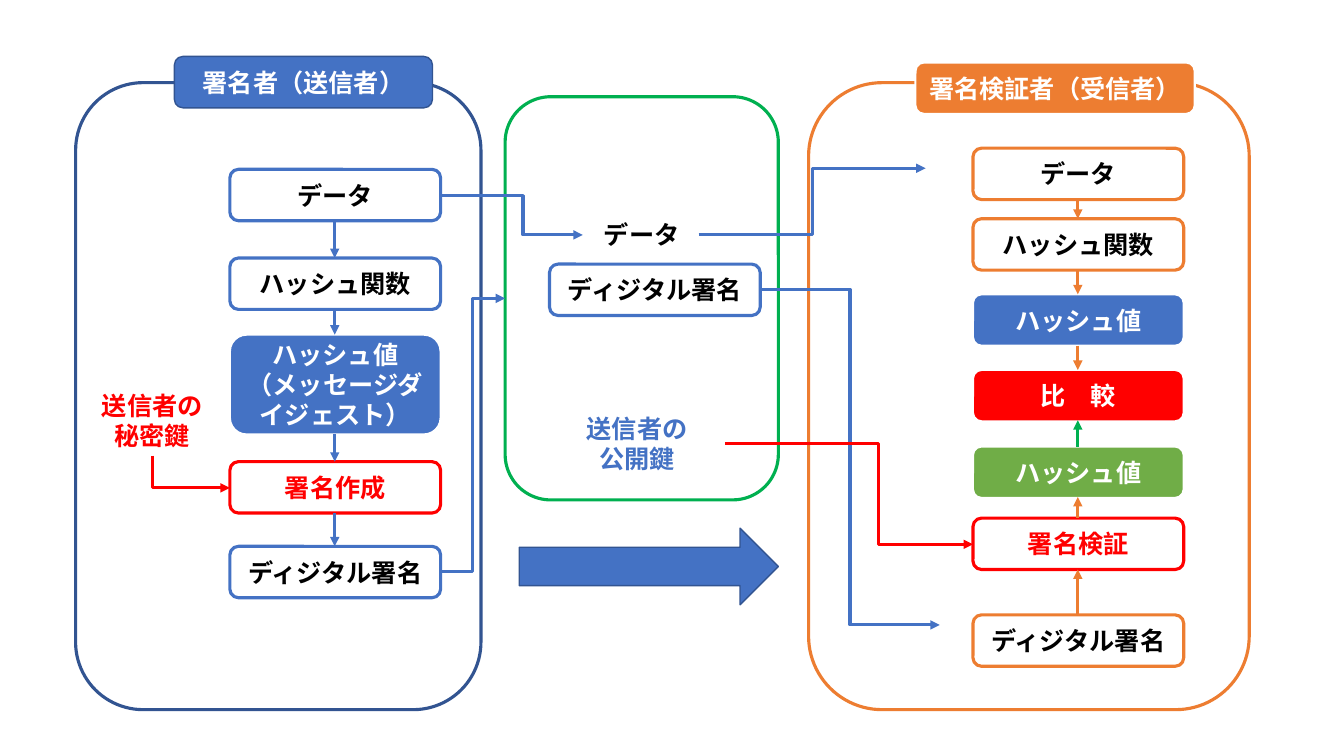
from dataclasses import dataclass
from typing import Optional

from lxml import etree
from pptx import Presentation
from pptx import util as u
from pptx.dml.color import RGBColor
from pptx.enum import shapes, text
from pptx.oxml import ns

BLUE = RGBColor(0x44, 0x72, 0xC4)
NAVY = RGBColor(0x32, 0x54, 0x91)
ORANGE = RGBColor(0xED, 0x7D, 0x31)
GREEN = RGBColor(0x00, 0xB0, 0x50)
LEAF = RGBColor(0x70, 0xAD, 0x47)
RED = RGBColor(0xFF, 0x00, 0x00)
WHITE = RGBColor(0xFF, 0xFF, 0xFF)
BLACK = RGBColor(0x00, 0x00, 0x00)
FONT = "Noto Sans CJK JP"
ROUNDED = shapes.MSO_SHAPE.FLOWCHART_ALTERNATE_PROCESS
STEP_WIDTH, STEP_HEIGHT = 2.09, 0.51
SENDER_LEFT, RECEIVER_LEFT = 2.28, 9.65
SENDER_AXIS, RECEIVER_AXIS = 3.32, 10.69


@dataclass
class Panel:
    left: float
    top: float
    width: float
    height: float
    border: RGBColor
    fill: Optional[RGBColor] = None
    border_width: float = 2.25
    preset: shapes.MSO_SHAPE = ROUNDED
    words: str = ""
    color: RGBColor = WHITE


@dataclass
class Label:
    left: float
    top: float
    width: float
    height: float
    words: str
    color: RGBColor
    align: text.PP_ALIGN = text.PP_ALIGN.CENTER


@dataclass
class Link:
    start: tuple[float, float]
    end: tuple[float, float]
    color: RGBColor
    bend: Optional[float] = None


def outlined(left: float, top: float, words: str, border: RGBColor,
             color: RGBColor = BLACK) -> Panel:
    return Panel(left, top, STEP_WIDTH, STEP_HEIGHT, border, WHITE, words=words, color=color)


def filled(left: float, top: float, words: str, fill: RGBColor,
           height: float = STEP_HEIGHT) -> Panel:
    return Panel(left, top, STEP_WIDTH, height, WHITE, fill, 1.5, words=words)


def vertical(axis: float, start: float, end: float, color: RGBColor) -> Link:
    return Link((axis, start), (axis, end), color)


FRAMES = [
    Panel(5.15, 5.24, 2.57, 0.76, NAVY, BLUE, 1, shapes.MSO_SHAPE.RIGHT_ARROW),
    Panel(5.01, 0.96, 2.71, 4, GREEN, WHITE),
    Panel(0.75, 0.82, 4.02, 6.22, NAVY),
    Panel(1.73, 0.56, 2.56, 0.51, NAVY, BLUE, 1, words="署名者（送信者）"),
    Panel(8.02, 0.82, 4.37, 6.22, ORANGE),
    Panel(9.08, 0.62, 2.77, 0.51, WHITE, ORANGE, 1.5, words="署名検証者（受信者）"),
]
STEPS = [
    outlined(SENDER_LEFT, 1.68, "データ", BLUE),
    outlined(SENDER_LEFT, 2.56, "ハッシュ関数", BLUE),
    filled(SENDER_LEFT, 3.32, "ハッシュ値\n（メッセージダイジェスト）", BLUE, 0.99),
    outlined(SENDER_LEFT, 4.58, "署名作成", RED, RED),
    outlined(SENDER_LEFT, 5.42, "ディジタル署名", BLUE),
    outlined(5.45, 2.62, "ディジタル署名", BLUE),
    outlined(RECEIVER_LEFT, 1.47, "データ", ORANGE),
    outlined(RECEIVER_LEFT, 2.17, "ハッシュ関数", ORANGE),
    filled(RECEIVER_LEFT, 2.92, "ハッシュ値", BLUE),
    filled(RECEIVER_LEFT, 3.67, "比　較", RED),
    filled(RECEIVER_LEFT, 4.43, "ハッシュ値", LEAF),
    outlined(RECEIVER_LEFT, 5.14, "署名検証", RED, RED),
    outlined(RECEIVER_LEFT, 6.1, "ディジタル署名", ORANGE),
]
LABELS = [
    Label(0.64, 3.82, 1.74, 0.71, "送信者の\n秘密鍵", RED),
    Label(5.89, 2.13, 1.05, 0.4, "データ", BLACK, text.PP_ALIGN.LEFT),
    Label(5.45, 4.05, 1.74, 0.71, "送信者の\n公開鍵", BLUE),
]
LINKS = [
    vertical(SENDER_AXIS, 2.19, 2.56, BLUE),
    vertical(SENDER_AXIS, 3.07, 3.32, BLUE),
    vertical(SENDER_AXIS, 4.31, 4.58, BLUE),
    vertical(SENDER_AXIS, 5.09, 5.42, BLUE),
    vertical(RECEIVER_AXIS, 1.97, 2.17, ORANGE),
    vertical(RECEIVER_AXIS, 2.67, 2.92, ORANGE),
    vertical(RECEIVER_AXIS, 3.43, 3.67, ORANGE),
    vertical(RECEIVER_AXIS, 4.43, 4.17, GREEN),
    vertical(RECEIVER_AXIS, 5.14, 4.93, ORANGE),
    vertical(RECEIVER_AXIS, 6.1, 5.65, ORANGE),
    Link((4.37, 1.94), (5.78, 2.33), BLUE, 0.58),
    Link((4.36, 5.67), (5.01, 2.96), BLUE, 0.5),
    Link((6.93, 2.33), (9.18, 1.67), BLUE, 0.5),
    Link((7.54, 2.87), (9.32, 6.2), BLUE, 0.5),
    Link((7.19, 4.4), (9.65, 5.4), RED, 0.62),
]
KEY_LINK = Link((1.51, 4.52), (2.28, 4.84), RED, 0)


def write(frame, words: str, *, color: RGBColor, size: float = 18, bold: bool = True,
          align: text.PP_ALIGN = text.PP_ALIGN.CENTER) -> None:
    frame.word_wrap = True
    for index, line in enumerate(words.split("\n")):
        paragraph = frame.add_paragraph() if index else frame.paragraphs[0]
        paragraph.alignment = align
        run = paragraph.add_run()
        run.text = line
        run.font.name = FONT
        run.font.size = u.Pt(size)
        run.font.bold = bold
        run.font.color.rgb = color
        etree.SubElement(run.font._element, ns.qn("a:ea"), typeface=FONT)


def draw_panel(slide, panel: Panel) -> None:
    shape = slide.shapes.add_shape(
        panel.preset, u.Inches(panel.left), u.Inches(panel.top),
        u.Inches(panel.width), u.Inches(panel.height))
    shape.shadow.inherit = False
    if panel.fill is None:
        shape.fill.background()
    else:
        shape.fill.solid()
        shape.fill.fore_color.rgb = panel.fill
    shape.line.color.rgb = panel.border
    shape.line.width = u.Pt(panel.border_width)
    if panel.words:
        shape.text_frame.vertical_anchor = text.MSO_ANCHOR.MIDDLE
        write(shape.text_frame, panel.words, color=panel.color)


def draw_label(slide, label: Label) -> None:
    box = slide.shapes.add_textbox(u.Inches(label.left), u.Inches(label.top),
                                   u.Inches(label.width), u.Inches(label.height))
    write(box.text_frame, label.words, color=label.color, align=label.align)
    box.text_frame.auto_size = text.MSO_AUTO_SIZE.SHAPE_TO_FIT_TEXT


def draw_link(slide, link: Link):
    kind = shapes.MSO_CONNECTOR.STRAIGHT if link.bend is None else shapes.MSO_CONNECTOR.ELBOW
    connector = slide.shapes.add_connector(
        kind, *(u.Inches(value) for value in link.start + link.end))
    connector.line.color.rgb = link.color
    connector.line.width = u.Pt(2.25)
    etree.SubElement(connector.line._get_or_add_ln(), ns.qn("a:tailEnd"), type="triangle")
    properties = connector._element.spPr
    etree.SubElement(properties, ns.qn("a:effectLst"))
    if link.bend:
        adjustments = properties.find(".//" + ns.qn("a:avLst"))
        etree.SubElement(adjustments, ns.qn("a:gd"), name="adj1",
                         fmla=f"val {round(link.bend * 100000)}")
    return connector


def draw_corner_link(slide, link: Link) -> None:
    connector = draw_link(slide, link)
    width, height = connector.width, connector.height
    connector.left += (width - height) // 2
    connector.top += (height - width) // 2
    connector.width, connector.height = height, width
    properties = connector._element.spPr
    properties.find(ns.qn("a:prstGeom")).set("prst", "bentConnector2")
    transform = properties.find(ns.qn("a:xfrm"))
    transform.set("rot", "16200000")
    transform.set("flipH", "1")


def main() -> None:
    deck = Presentation()
    deck.slide_width, deck.slide_height = u.Inches(13.33), u.Inches(7.5)
    slide = deck.slides.add_slide(deck.slide_layouts[6])
    for panel in FRAMES + STEPS:
        draw_panel(slide, panel)
    for label in LABELS:
        draw_label(slide, label)
    for link in LINKS:
        draw_link(slide, link)
    draw_corner_link(slide, KEY_LINK)
    deck.save("out.pptx")


if __name__ == "__main__":
    main()
